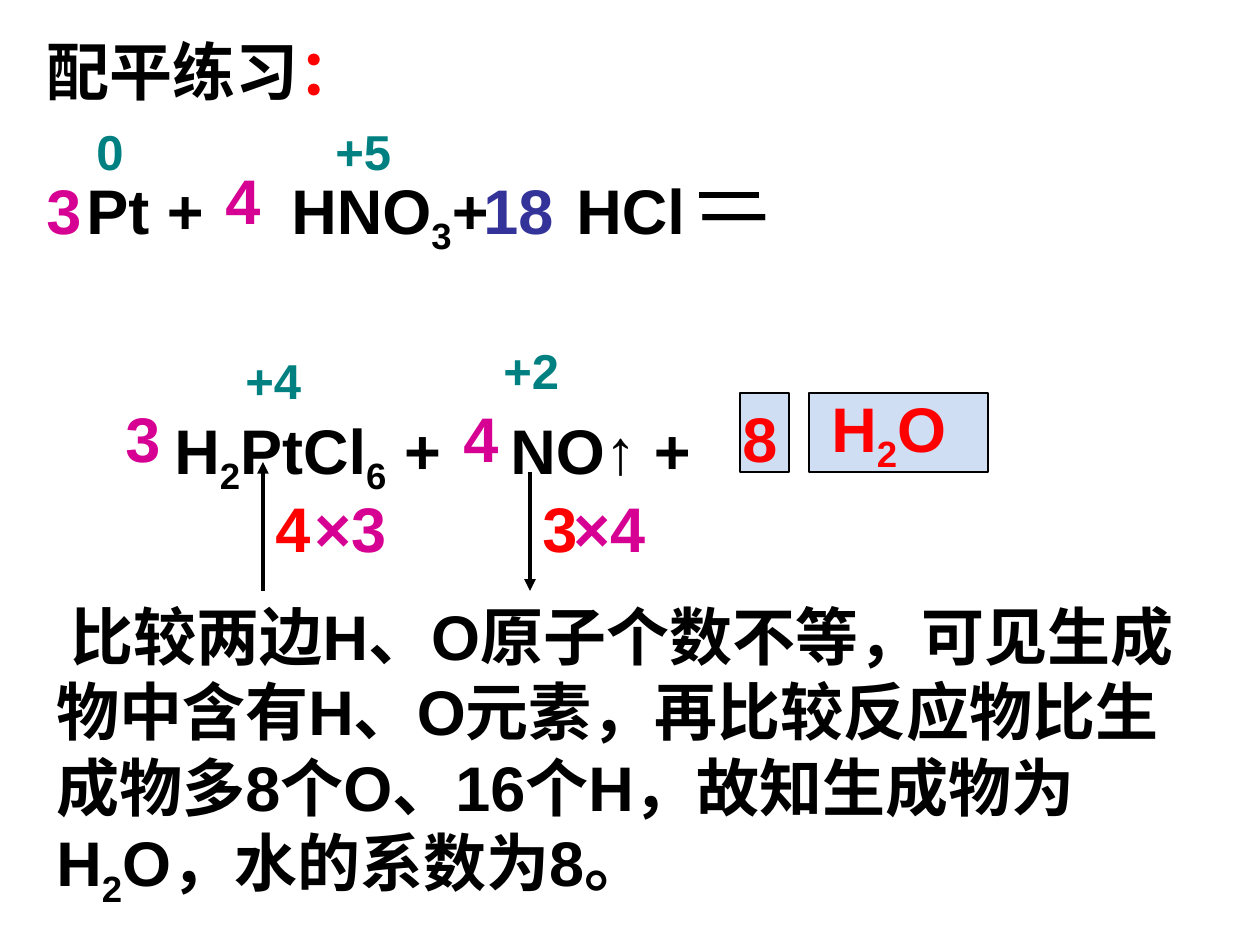
from lxml.etree import SubElement
from pptx import Presentation
from pptx.dml.color import RGBColor
from pptx.enum.shapes import MSO_CONNECTOR, MSO_SHAPE
from pptx.oxml.ns import qn
from pptx.util import Emu, Pt

PX = 914400 / 126
BLACK = RGBColor(0x00, 0x00, 0x00)
RED = RGBColor(0xFF, 0x00, 0x00)
TEAL = RGBColor(0x00, 0x80, 0x80)
MAGENTA = RGBColor(0xD6, 0x00, 0x93)
INDIGO = RGBColor(0x33, 0x33, 0x99)
PALE_BLUE = RGBColor(0xCF, 0xDE, 0xF3)


def px(value):
    return Emu(round(value * PX))


class SlideBuilder:
    font_format = {"name": "Arial", "bold": True}

    def __init__(self, slide):
        self.slide = slide

    def text(self, box, *paragraphs, size=36, color=BLACK, tabs=(), space_before=0):
        """Paragraphs list strings or (string, format) pairs; tabs has one tuple per paragraph."""
        shape = self.slide.shapes.add_textbox(*map(px, box))
        frame = shape.text_frame
        frame.word_wrap = True
        for index, parts in enumerate(paragraphs):
            paragraph = frame.add_paragraph() if index else frame.paragraphs[0]
            if tabs:
                tab_list = SubElement(paragraph._p.get_or_add_pPr(), qn("a:tabLst"))
                for stop in tabs[index]:
                    SubElement(tab_list, qn("a:tab"), pos=str(px(stop)), algn="l")
            if index:
                paragraph.space_before = Pt(space_before)
            for part in parts:
                words, changes = (part, {}) if isinstance(part, str) else part
                self.run(paragraph, words, **{"size": size, "color": color, **changes})

    def run(self, paragraph, words, size, color, subscript=False):
        run = paragraph.add_run()
        run.text = words
        for name, value in {**self.font_format, "size": Pt(size)}.items():
            setattr(run.font, name, value)
        run.font.color.rgb = color
        if subscript:
            run._r.get_or_add_rPr().set("baseline", "-25000")

    def rectangle(self, box):
        shape = self.slide.shapes.add_shape(MSO_SHAPE.RECTANGLE, *map(px, box))
        shape.shadow.inherit = False
        shape.fill.solid()
        shape.fill.fore_color.rgb = PALE_BLUE
        shape.line.color.rgb = BLACK
        shape.line.width = Pt(0.75)

    def line(self, ends, width, arrow=False):
        connector = self.slide.shapes.add_connector(MSO_CONNECTOR.STRAIGHT, *map(px, ends))
        connector.line.color.rgb = BLACK
        connector.line.width = Pt(width)
        if arrow:
            SubElement(connector.line._get_or_add_ln(), qn("a:tailEnd"), type="triangle")
        SubElement(connector._element.spPr, qn("a:effectLst"))


def sub(digit):
    return digit, {"subscript": True}


def main():
    presentation = Presentation()
    presentation.slide_width, presentation.slide_height = px(1260), px(945)
    builder = SlideBuilder(presentation.slides.add_slide(presentation.slide_layouts[6]))

    # Equation: reactants above, products below; the dash is the equals sign's lower stroke
    builder.text((74, 165, 1091, 339),
                 ["Pt +\tHNO", sub("3"), "+\tHCl —"],
                 ["\tH", sub("2"), "PtCl", sub("6"), " +\tNO↑ +"],
                 tabs=((205, 490), (88, 424)), space_before=88)

    # Title, with its colon in red
    builder.text((34, 26, 466, 88), ["配平练习", ("：", {"color": RED})])

    # Boxes behind the water term
    for left, width in ((809, 179), (740, 49)):
        builder.rectangle((left, 393, width, 79))

    # Oxidation states
    for label, left, top, width in (("0", 84, 115, 69), ("+5", 323, 115, 89),
                                    ("+4", 233, 344, 100), ("+2", 491, 334, 89)):
        builder.text((left, top, width, 72), [label], size=28, color=TEAL)

    # Electron change arrows
    builder.line((263, 591, 263, 462), 2.25, arrow=True)
    builder.line((530, 472, 530, 591), 2.25, arrow=True)

    # Electron counts and coefficients
    for label, left, top, width, color in (
            ("4", 263, 483, 69, RED), ("3", 530, 483, 59, RED),
            ("×3", 302, 483, 110, MAGENTA), ("×4", 561, 483, 110, MAGENTA),
            ("3", 34, 165, 64, MAGENTA), ("4", 213, 155, 79, MAGENTA),
            ("3", 113, 393, 89, MAGENTA), ("4", 451, 393, 69, MAGENTA),
            ("18", 471, 165, 129, INDIGO), ("8", 730, 393, 69, RED)):
        builder.text((left, top, width, 88), [label], color=color)
    builder.text((819, 383, 149, 100), ["H", sub("2"), "O"], color=RED)

    # Explanation
    builder.text((44, 591, 1160, 326), [
        " 比较两边H、O原子个数不等，可见生成物中含有H、O元素，再比较反应物"
        "比生成物多8个O、16个H，故知生成物为H", sub("2"), "O，水的系数为8。"])

    # Upper stroke of the equals sign
    builder.line((699, 195, 759, 195), 3)

    presentation.save("out.pptx")


if __name__ == "__main__":
    main()
